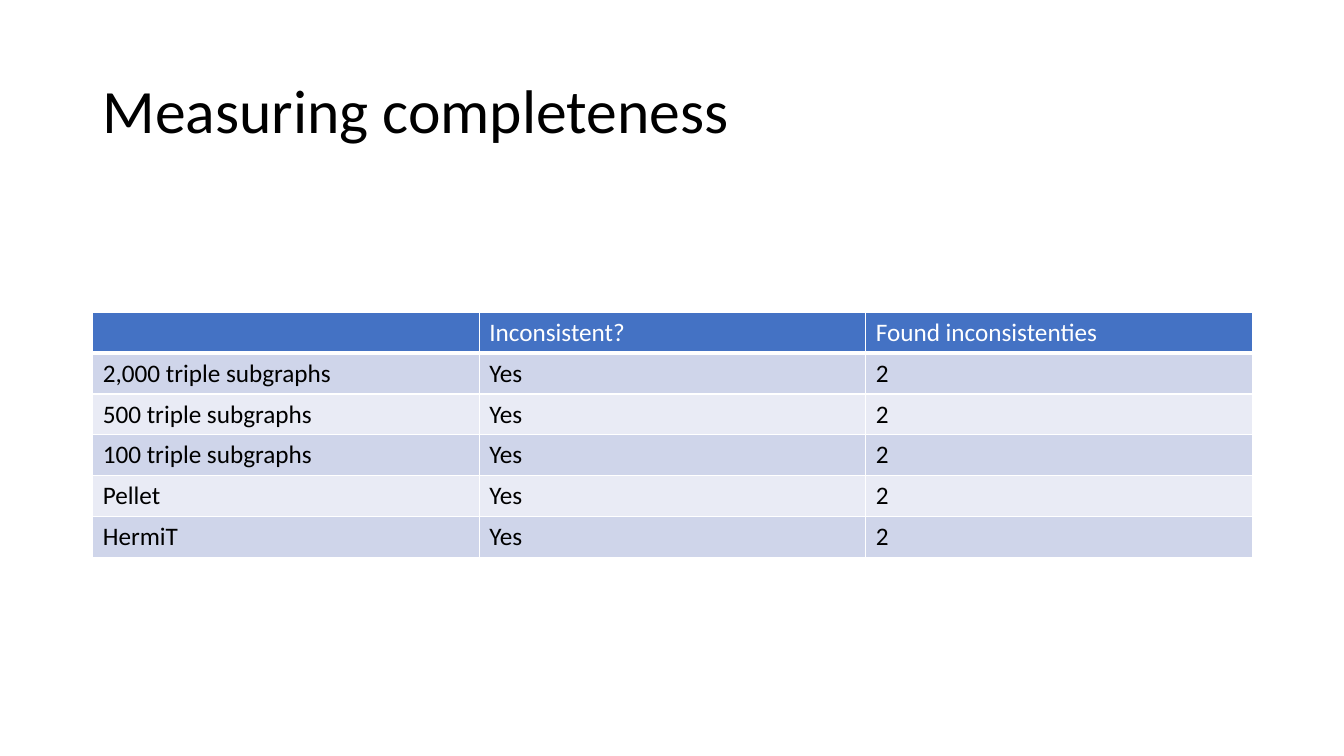
from lxml.etree import SubElement
from pptx import Presentation
from pptx.dml.color import RGBColor
from pptx.enum.text import MSO_ANCHOR
from pptx.oxml.ns import qn
from pptx.util import Inches, Pt

COLORS = {
    "text": "000000",
    "white": "FFFFFF",
    "head": "4472C4",
    "odd": "CFD5EA",
    "even": "E9EBF5",
}
ROWS = [
    ("", "Inconsistent?", "Found inconsistenties"),
    ("2,000 triple subgraphs", "Yes", "2"),
    ("500 triple subgraphs", "Yes", "2"),
    ("100 triple subgraphs", "Yes", "2"),
    ("Pellet", "Yes", "2"),
    ("HermiT", "Yes", "2"),
]


def style(para, size, color):
    para.font.name = "Calibri"
    para.font.size = Pt(size)
    para.font.bold = False
    para.font.color.rgb = RGBColor.from_string(COLORS[color])


def border(cell, side, width):
    line = SubElement(cell._tc.get_or_add_tcPr(), qn(f"a:ln{side}"), w=str(Pt(width)))
    fill = SubElement(line, qn("a:solidFill"))
    SubElement(fill, qn("a:srgbClr"), val=COLORS["white"])


deck = Presentation()
deck.slide_width = Inches(13.33)
deck.slide_height = Inches(7.5)
slide = deck.slides.add_slide(deck.slide_layouts[6])

title = slide.shapes.add_textbox(Inches(0.92), Inches(0.4), Inches(11.5), Inches(1.45))
frame = title.text_frame
frame.word_wrap = True
frame.vertical_anchor = MSO_ANCHOR.MIDDLE
para = frame.paragraphs[0]
para.text = "Measuring completeness"
para.line_spacing = 0.9
style(para, 44, "text")

table = slide.shapes.add_table(
    len(ROWS), len(ROWS[0]), Inches(0.92), Inches(3.1), Inches(11.5), Inches(2.43)
).table
for r, row in enumerate(ROWS):
    band = "head" if r == 0 else "odd" if r % 2 else "even"
    for c, text in enumerate(row):
        cell = table.cell(r, c)
        cell.text = text
        style(cell.text_frame.paragraphs[0], 18, "text" if r else "white")
        border(cell, "L", 1)
        border(cell, "R", 1)
        border(cell, "T", 3 if r == 1 else 1)
        border(cell, "B", 3 if r == 0 else 1)
        cell.fill.solid()
        cell.fill.fore_color.rgb = RGBColor.from_string(COLORS[band])

deck.save("out.pptx")
